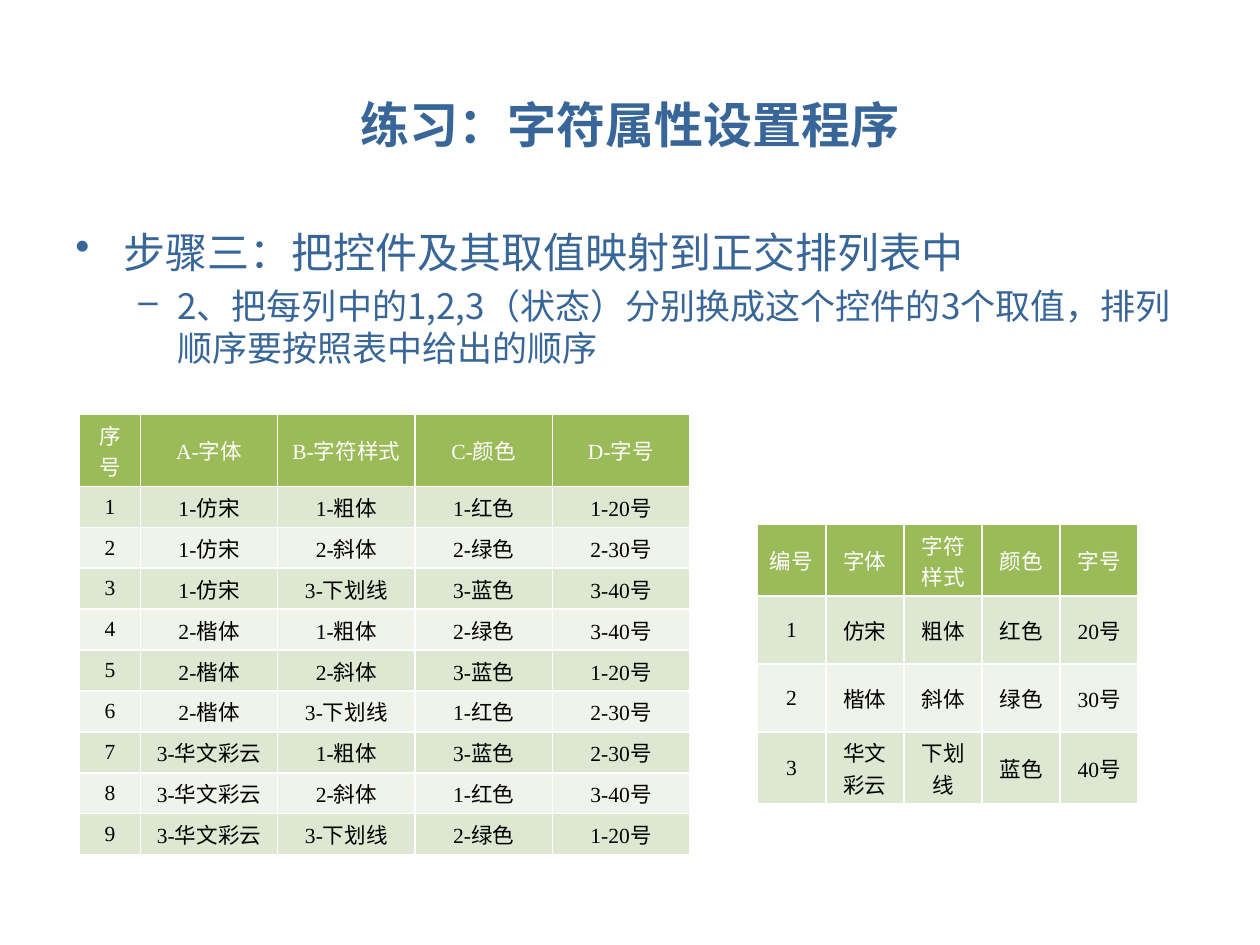
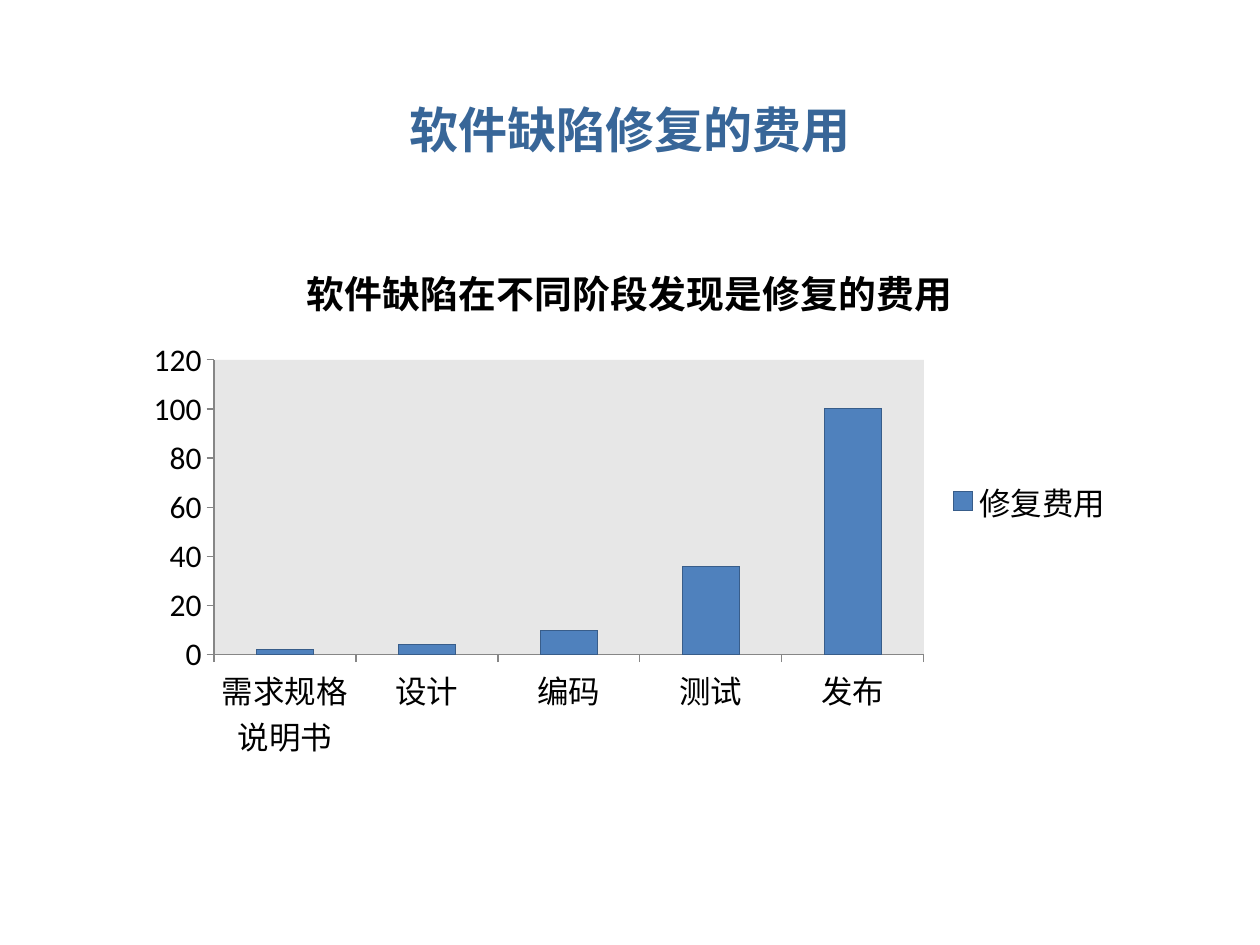
from itertools import product

from lxml.etree import SubElement
from pptx import Presentation
from pptx.chart.data import CategoryChartData
from pptx.dml.color import RGBColor
from pptx.enum.chart import XL_CHART_TYPE, XL_LEGEND_POSITION, XL_TICK_MARK
from pptx.enum.text import MSO_ANCHOR, PP_ALIGN
from pptx.oxml.ns import qn
from pptx.util import Inches, Pt


def color(value):
    return RGBColor.from_string(value)


def place(parent, **percents):
    layout = parent.find(qn("c:layout"))
    if layout is None:
        layout = SubElement(parent, qn("c:layout"))
        parent.insert(0, layout)
    manual = SubElement(layout, qn("c:manualLayout"))
    if "w" in percents:
        SubElement(manual, qn("c:layoutTarget"), val="inner")
    for mode in ("xMode", "yMode"):
        SubElement(manual, qn(f"c:{mode}"), val="edge")
    for name, percent in percents.items():
        SubElement(manual, qn(f"c:{name}"), val=f"{percent / 100:.3f}")


class Deck:
    COLUMNS, ROWS = 100, 75
    BLUE, BLACK, WHITE = "386698", "000000", "FFFFFF"
    HEADER, BANDS = "9BBB59", ("EFF3EA", "DEE7D1")
    BAR, BAR_EDGE, PLOT, AXIS = "4F81BD", "385D8A", "E7E7E7", "868686"
    TITLE_FONT, BODY_FONT = "Karla", "Noto Sans CJK SC"
    TABLE_FONT, CHART_FONT = "Times New Roman", "Calibri"

    def __init__(self):
        self.presentation = Presentation()
        self.presentation.slide_width = Inches(10)
        self.presentation.slide_height = Inches(7.5)
        self.slide = None

    def across(self, columns):
        return int(self.presentation.slide_width * columns / self.COLUMNS)

    def down(self, rows):
        return int(self.presentation.slide_height * rows / self.ROWS)

    def box(self, left, top, width, height):
        return self.across(left), self.down(top), self.across(width), self.down(height)

    def font(self, font, name, size, ink, bold=False):
        font.name = name
        font.size = Pt(size)
        font.bold = bold
        font.color.rgb = color(ink)

    def paragraph_font(self, paragraph, name, east_asian, size, ink, bold=False):
        self.font(paragraph.font, name, size, ink, bold)
        defaults = paragraph._p.pPr.find(qn("a:defRPr"))
        SubElement(defaults, qn("a:ea"), typeface=east_asian)
        return defaults

    def text_frame(self, *area):
        frame = self.slide.shapes.add_textbox(*self.box(*area)).text_frame
        frame.word_wrap = True
        return frame

    def add_slide(self, title, top, height):
        self.slide = self.presentation.slides.add_slide(self.presentation.slide_layouts[6])
        frame = self.text_frame(5, top, 90, height)
        frame.vertical_anchor = MSO_ANCHOR.MIDDLE
        paragraph = frame.paragraphs[0]
        paragraph.text = title
        paragraph.alignment = PP_ALIGN.CENTER
        self.paragraph_font(paragraph, self.TITLE_FONT, self.TITLE_FONT, 28, self.BLUE, True)

    def bullets(self, area, items):
        frame = self.text_frame(*area)
        for index, (text, mark, size, margin, hanging) in enumerate(items):
            paragraph = frame.add_paragraph() if index else frame.paragraphs[0]
            paragraph.text = text
            paragraph.space_before = Pt(size * 0.2)
            defaults = self.paragraph_font(
                paragraph, self.BODY_FONT, self.BODY_FONT, size, self.BLUE)
            properties = paragraph._p.pPr
            properties.set("marL", str(Inches(margin)))
            properties.set("indent", str(-Inches(hanging)))
            bullet = SubElement(properties, qn("a:buChar"), char=mark)
            defaults.addprevious(bullet)

    def border(self, cell):
        properties = cell._tc.get_or_add_tcPr()
        for side in "LRTB":
            line = SubElement(properties, qn(f"a:ln{side}"), w=str(Pt(1)))
            fill = SubElement(line, qn("a:solidFill"))
            SubElement(fill, qn("a:srgbClr"), val=self.WHITE)

    def table(self, left, top, widths, heights, records):
        area = self.box(left, top, sum(widths), sum(heights))
        table = self.slide.shapes.add_table(len(records), len(widths), *area).table
        for column, width in zip(table.columns, widths):
            column.width = self.across(width)
        for row_index, (row, height, record) in enumerate(zip(table.rows, heights, records)):
            row.height = self.down(height)
            for cell, text in zip(row.cells, record):
                self.cell(cell, text, row_index)

    def cell(self, cell, text, row_index):
        header = row_index == 0
        cell.text = text
        cell.vertical_anchor = MSO_ANCHOR.MIDDLE
        cell.margin_left = cell.margin_right = Inches(0.1)
        cell.margin_top = cell.margin_bottom = Inches(0.04)
        paragraph = cell.text_frame.paragraphs[0]
        paragraph.alignment = PP_ALIGN.CENTER
        self.paragraph_font(paragraph, self.TABLE_FONT, self.BODY_FONT, 12.3,
                            self.WHITE if header else self.BLACK)
        self.border(cell)
        cell.fill.solid()
        cell.fill.fore_color.rgb = color(self.HEADER if header else self.BANDS[row_index % 2])

    def column_chart(self, area, title, series_name, costs):
        data = CategoryChartData()
        data.categories = list(costs)
        data.add_series(series_name, list(costs.values()))
        chart = self.slide.shapes.add_chart(
            XL_CHART_TYPE.COLUMN_STACKED, *self.box(*area), data).chart
        self.font(chart.font, self.CHART_FONT, 18, self.BLACK)
        chart.has_title = True
        heading = chart.chart_title.text_frame
        heading.text = title
        self.font(heading.paragraphs[0].font, self.CHART_FONT, 21.6, self.BLACK, True)
        place(chart.chart_title._element, x=16.7, y=3.4)
        chart.has_legend = True
        chart.legend.position = XL_LEGEND_POSITION.RIGHT
        chart.legend.include_in_layout = False
        self.font(chart.legend.font, self.CHART_FONT, 18, self.BLACK)
        for axis in (chart.category_axis, chart.value_axis):
            axis.has_major_gridlines = False
            axis.major_tick_mark = XL_TICK_MARK.OUTSIDE
            axis.minor_tick_mark = XL_TICK_MARK.NONE
            axis.format.line.color.rgb = color(self.AXIS)
            self.font(axis.tick_labels.font, self.CHART_FONT, 18, self.BLACK)
        chart.value_axis.minimum_scale = 0
        chart.value_axis.maximum_scale = 120
        chart.value_axis.major_unit = 20
        plot = chart.plots[0]
        plot.vary_by_categories = False
        plot.gap_width = 150
        plot.overlap = 100
        series = plot.series[0]
        series.format.fill.solid()
        series.format.fill.fore_color.rgb = color(self.BAR)
        series.format.line.color.rgb = color(self.BAR_EDGE)
        plot_area = chart._chartSpace.chart.plotArea
        place(plot_area, x=8.1, y=23.5, w=71.5, h=55.2)
        properties = SubElement(plot_area, qn("c:spPr"))
        fill = SubElement(properties, qn("a:solidFill"))
        SubElement(fill, qn("a:srgbClr"), val=self.PLOT)


CONTROLS = {
    "字体": ("仿宋", "楷体", "华文彩云"),
    "字符样式": ("粗体", "斜体", "下划线"),
    "颜色": ("红色", "绿色", "蓝色"),
    "字号": ("20号", "30号", "40号"),
}

REPAIR_COSTS = {"需求规格\n说明书": 2, "设计": 4, "编码": 10, "测试": 36, "发布": 100}


def orthogonal_records():
    records = [["序号"] + [f"{letter}-{name}" for letter, name in zip("ABCD", CONTROLS)]]
    for number, (first, second) in enumerate(product(range(3), repeat=2), 1):
        levels = (first, second, (first + second) % 3, (2 * first + second) % 3)
        records.append([str(number)] + [
            f"{level + 1}-{values[level]}" for level, values in zip(levels, CONTROLS.values())])
    return records


def control_records():
    levels = zip(*CONTROLS.values())
    return [["编号", *CONTROLS]] + [
        [str(number), *values] for number, values in enumerate(levels, 1)]


def main():
    deck = Deck()
    deck.add_slide("练习：字符属性设置程序", 6.6, 6.5)
    deck.bullets((5, 17.5, 90, 49.5), [
        ("步骤三：把控件及其取值映射到正交排列表中", "•", 24, 0.38, 0.38),
        ("2、把每列中的1,2,3（状态）分别换成这个控件的3个取值，排列顺序要按照表中给出的顺序",
         "–", 20, 0.81, 0.31),
    ])
    deck.table(6.3, 32.9, [4.85] + [10.9] * 4, [5.7] + [3.25] * 9, orthogonal_records())
    deck.table(60.1, 41.6, [5.45] + [6.2] * 4, [5.7, 5.4, 5.4, 5.7], control_records())

    deck.add_slide("软件缺陷修复的费用", 7.1, 6.3)
    deck.column_chart((10.6, 18.6, 78.8, 42.4), "软件缺陷在不同阶段发现是修复的费用",
                      "修复费用", REPAIR_COSTS)
    deck.presentation.save("out.pptx")


if __name__ == "__main__":
    main()
